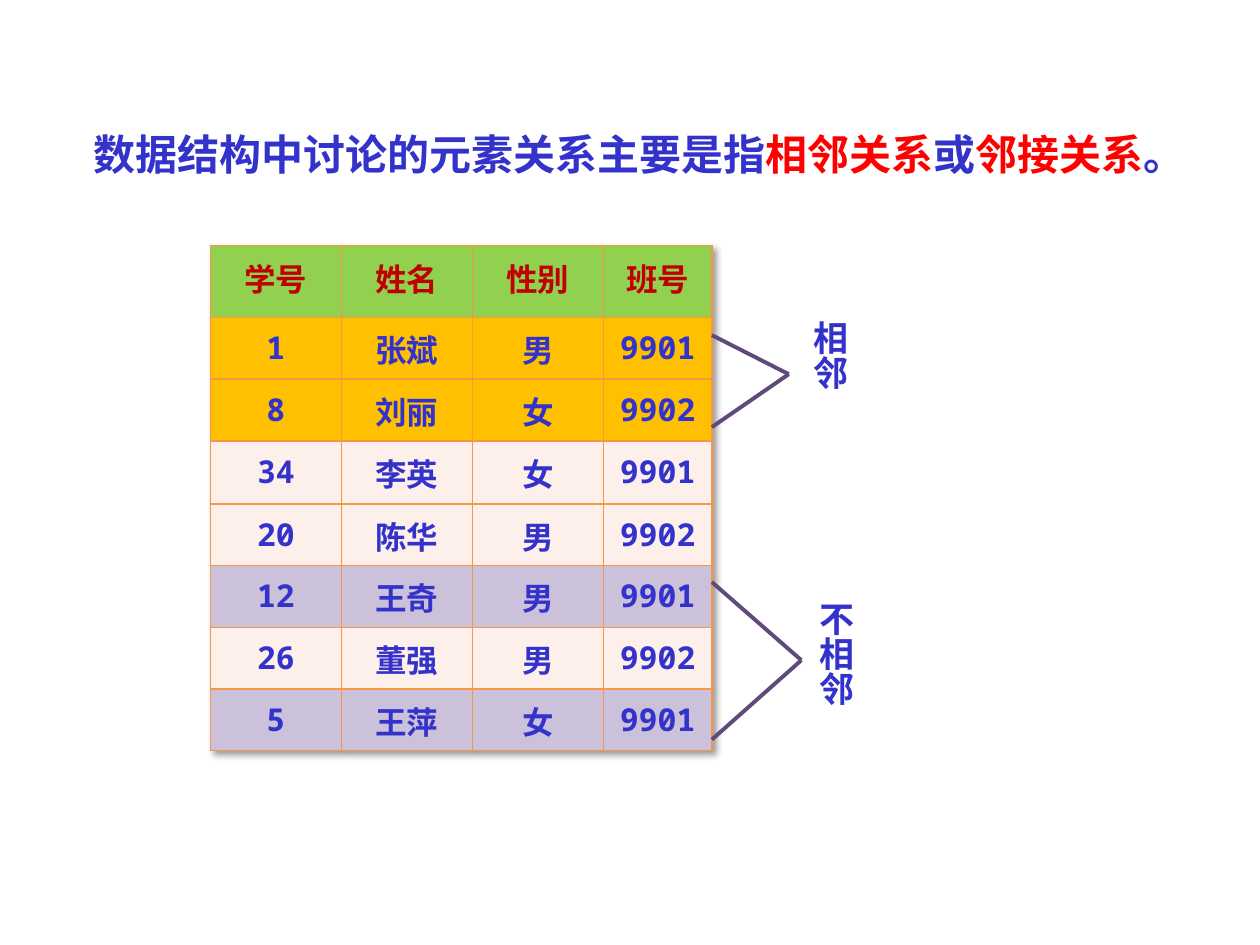
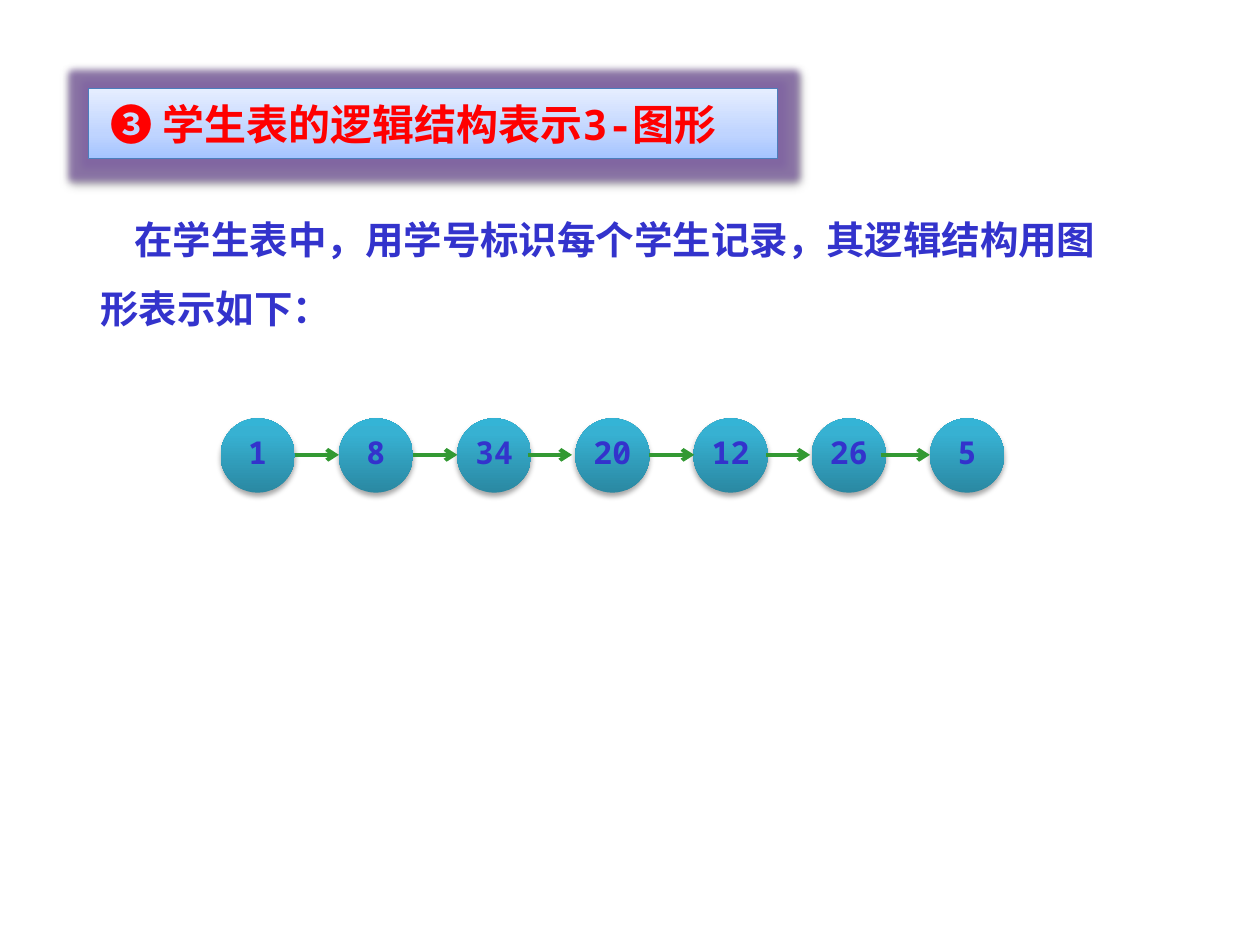
from dataclasses import dataclass
from typing import NamedTuple

from lxml import etree
from pptx import Presentation
from pptx import util as u
from pptx.dml.color import RGBColor
from pptx.enum import shapes, text
from pptx.oxml import parse_xml
from pptx.oxml.ns import nsdecls, qn

# Shared look
INK, RED, HEADER_RED = "3333CC", "FF0000", "C00000"
GREEN, AMBER, CREAM, LILAC = "92D050", "FFC000", "FDEFE9", "CCC1DA"
ORANGE, PURPLE, ARROW_GREEN = "F79646", "604A7B", "339933"
SERIF, MONO, HAN = "Times New Roman", "Noto Sans Mono", "Noto Sans CJK SC"
CENTER, LEFT = text.PP_ALIGN.CENTER, text.PP_ALIGN.LEFT


class Box(NamedTuple):
    left: float
    top: float
    width: float
    height: float


class Segment(NamedTuple):
    x1: float
    y1: float
    x2: float
    y2: float


class Stop(NamedTuple):
    percent: int
    color: str


@dataclass(frozen=True)
class Type:
    size: int
    face: str = MONO
    color: str = INK
    align: int = CENTER
    spacing: float = 1.0


@dataclass(frozen=True)
class Relation:
    """Label beside the table, with two lines that meet at a tip."""
    label: str
    box: Box
    rows_y: tuple[float, float]
    tip: tuple[float, float]


TITLE = Type(24, SERIF, spacing=0.8)
SIDE_LABEL = Type(20, SERIF, spacing=1.3)
CELL, HEADER = Type(18), Type(18, color=HEADER_RED)
HEADING = Type(24, color=RED, align=LEFT)
BODY = Type(22, align=LEFT, spacing=1.5)
NODE = Type(18, spacing=0.8)

TITLE_RUNS = [("数据结构中讨论的元素关系主要是指", INK), ("相邻关系", RED), ("或", INK),
              ("邻接关系", RED), ("。", INK)]

TABLE_BOX = Box(1.67, 1.95, 3.98, 4)
TABLE_RIGHT = TABLE_BOX.left + TABLE_BOX.width
COLUMN_WIDTHS = [1.04, 1.04, 1.04, 0.86]
ROW_HEIGHTS = [0.57, 0.49, 0.49, 0.5, 0.49, 0.49, 0.49, 0.49]
STUDENTS = [
    (GREEN, "学号 姓名 性别 班号"),
    (AMBER, "1 张斌 男 9901"),
    (AMBER, "8 刘丽 女 9902"),
    (CREAM, "34 李英 女 9901"),
    (CREAM, "20 陈华 男 9902"),
    (LILAC, "12 王奇 男 9901"),
    (CREAM, "26 董强 男 9902"),
    (LILAC, "5 王萍 女 9901"),
]
RELATIONS = [
    Relation("相邻", Box(6.26, 2.45, 0.64, 1.04), (2.66, 3.39), (6.26, 2.97)),
    Relation("不相邻", Box(6.31, 4.68, 0.64, 1.35), (4.62, 5.87), (6.36, 5.24)),
]

NODE_SIZE, NODE_TOP, FIRST_NODE, LAST_NODE = 0.59, 3.32, 1.75, 7.38
ARROW_Y = 3.61
ARROW_SPANS = [(2.34, 2.69), (3.28, 3.63), (4.19, 4.54), (5.15, 5.51), (6.08, 6.43), (6.99, 7.38)]
NODE_STOPS = [Stop(0, "2A88A2"), Stop(80, "37B1D2"), Stop(100, "34B4D6")]
HEADING_STOPS = [Stop(0, "A4C4FF"), Stop(35, "BFD4FF"), Stop(100, "E6EEFF")]


def rgb(color: str) -> RGBColor:
    return RGBColor.from_string(color)


def lengths(values) -> list:
    return [u.Inches(value) for value in values]


def color_xml(color: str, alpha: int = 100) -> str:
    return f'<a:srgbClr val="{color}"><a:alpha val="{alpha * 1000}"/></a:srgbClr>'


def shadow_xml(alpha: int, blur: float, distance: float, angle: int) -> str:
    return (f'<a:outerShdw {nsdecls("a")} blurRad="{u.Pt(blur)}" dist="{u.Pt(distance)}" '
            f'dir="{angle * 60000}" algn="tl" rotWithShape="0">{color_xml("000000", alpha)}</a:outerShdw>')


def set_type(paragraph, style: Type) -> None:
    paragraph.alignment = style.align
    paragraph.line_spacing = style.spacing
    font = paragraph.font
    font.size, font.bold, font.name = u.Pt(style.size), True, style.face
    font.color.rgb = rgb(style.color)
    defaults = paragraph._p.pPr.find(qn("a:defRPr"))
    etree.SubElement(defaults, qn("a:ea")).set("typeface", HAN)


def set_insets(holder, left: float, top: float, right: float, bottom: float) -> None:
    (holder.margin_left, holder.margin_top,
     holder.margin_right, holder.margin_bottom) = lengths((left, top, right, bottom))


def add_text(slide, box: Box, style: Type, words: str = "", vertical: bool = False):
    frame = slide.shapes.add_textbox(*lengths(box)).text_frame
    frame.word_wrap = True
    frame.auto_size = text.MSO_AUTO_SIZE.SHAPE_TO_FIT_TEXT
    if vertical:
        frame._txBody.bodyPr.set("vert", "eaVert")
    paragraph = frame.paragraphs[0]
    if words:
        paragraph.text = words
    set_type(paragraph, style)
    return frame


def add_line(slide, segment: Segment, color: str, arrow: bool = False) -> None:
    line = slide.shapes.add_connector(shapes.MSO_CONNECTOR.STRAIGHT, *lengths(segment))
    line.line.color.rgb = rgb(color)
    line.line.width = u.Pt(2.25)
    properties = line._element.spPr
    if arrow:
        etree.SubElement(properties.find(qn("a:ln")), qn("a:tailEnd")).set("type", "arrow")
    etree.SubElement(properties, qn("a:effectLst"))


def add_gradient_shape(slide, kind, box: Box, stops: list[Stop], effects: list[str],
                       words: str, style: Type):
    shape = slide.shapes.add_shape(kind, *lengths(box))
    shape.fill.gradient()
    shape.fill.gradient_angle = 90
    shape.line.fill.background()
    shape.shadow.inherit = False
    properties = shape._element.spPr
    stop_list = properties.find(qn("a:gradFill")).find(qn("a:gsLst"))
    for old_stop in list(stop_list):
        stop_list.remove(old_stop)
    for stop in stops:
        stop_list.append(parse_xml(f'<a:gs {nsdecls("a")} pos="{stop.percent * 1000}">'
                                   f'{color_xml(stop.color)}</a:gs>'))
    for effect in effects:
        properties.find(qn("a:effectLst")).append(parse_xml(effect))
    paragraph = shape.text_frame.paragraphs[0]
    paragraph.text = words
    set_type(paragraph, style)
    return shape


def set_borders(cell, color: str) -> None:
    for position, side in enumerate("LRTB"):
        cell._tc.get_or_add_tcPr().insert(position, parse_xml(
            f'<a:ln{side} {nsdecls("a")} w="{u.Pt(1)}"><a:solidFill>{color_xml(color)}'
            f'</a:solidFill></a:ln{side}>'))


def add_student_table(slide) -> None:
    table = slide.shapes.add_table(len(STUDENTS), len(COLUMN_WIDTHS), *lengths(TABLE_BOX)).table
    table.first_row = table.horz_banding = False
    table._tbl.tblPr.insert(0, parse_xml(
        f'<a:effectLst {nsdecls("a")}>{shadow_xml(40, 4, 3, 45)}</a:effectLst>'))
    for column, width in zip(table.columns, COLUMN_WIDTHS):
        column.width = u.Inches(width)
    for row, height, (fill, values) in zip(table.rows, ROW_HEIGHTS, STUDENTS):
        row.height = u.Inches(height)
        for cell, value in zip(row.cells, values.split()):
            cell.text = value
            set_type(cell.text_frame.paragraphs[0], HEADER if fill == GREEN else CELL)
            set_insets(cell, 0.1, 0.07, 0.1, 0.07)
            cell.fill.solid()
            cell.fill.fore_color.rgb = rgb(fill)
            set_borders(cell, ORANGE)


def build_adjacency_slide(slide) -> None:
    # Title with the two key terms in red
    title = add_text(slide, Box(0.62, 1.02, 8.91, 0.41), TITLE)
    set_insets(title, 0.1, 0.08, 0.1, 0)
    paragraph = title.paragraphs[0]
    for words, color in TITLE_RUNS:
        run = paragraph.add_run()
        run.text = words
        run.font.color.rgb = rgb(color)

    # Student table and the relations between its rows
    add_student_table(slide)
    for relation in RELATIONS:
        add_text(slide, relation.box, SIDE_LABEL, relation.label, vertical=True)
        for row_y in relation.rows_y:
            add_line(slide, Segment(TABLE_RIGHT, row_y, *relation.tip), PURPLE)


def build_graph_slide(slide) -> None:
    # Explanation
    explanation = add_text(slide, Box(0.7, 1.48, 8.13, 1.21), BODY,
                           "在学生表中，用学号标识每个学生记录，其逻辑结构用图形表示如下：")
    explanation.paragraphs[0]._p.pPr.set("indent", str(u.Inches(0.27)))

    # Chain of student numbers
    numbers = [values.split()[0] for _, values in STUDENTS[1:]]
    pitch = (LAST_NODE - FIRST_NODE) / (len(numbers) - 1)
    for index, number in enumerate(numbers):
        box = Box(FIRST_NODE + index * pitch, NODE_TOP, NODE_SIZE, NODE_SIZE)
        node = add_gradient_shape(slide, shapes.MSO_SHAPE.OVAL, box, NODE_STOPS,
                                  [shadow_xml(35, 3.1, 1.8, 90)], number, NODE)
        set_insets(node.text_frame, 0, 0.05, 0, 0.05)
        node.text_frame.vertical_anchor = text.MSO_ANCHOR.MIDDLE
    for start, end in ARROW_SPANS:
        add_line(slide, Segment(start, ARROW_Y, end, ARROW_Y), ARROW_GREEN, arrow=True)

    # Glowing heading
    glow = f'<a:glow {nsdecls("a")} rad="{u.Pt(8)}">{color_xml("8064A2", 80)}</a:glow>'
    heading = add_gradient_shape(slide, shapes.MSO_SHAPE.RECTANGLE, Box(0.7, 0.7, 5.47, 0.56),
                                 HEADING_STOPS, [glow, shadow_xml(38, 3.1, 1.6, 90)],
                                 "❸ 学生表的逻辑结构表示3-图形", HEADING)
    heading.line.color.rgb = rgb("4B7EBC")
    heading.line.width = u.Pt(0.75)
    set_insets(heading.text_frame, 0.18, 0.08, 0.1, 0.08)
    heading.text_frame.vertical_anchor = text.MSO_ANCHOR.TOP


def main() -> None:
    deck = Presentation()
    deck.slide_width, deck.slide_height = lengths((10, 7.5))
    for build in (build_adjacency_slide, build_graph_slide):
        build(deck.slides.add_slide(deck.slide_layouts[6]))
    deck.save("out.pptx")


if __name__ == "__main__":
    main()
